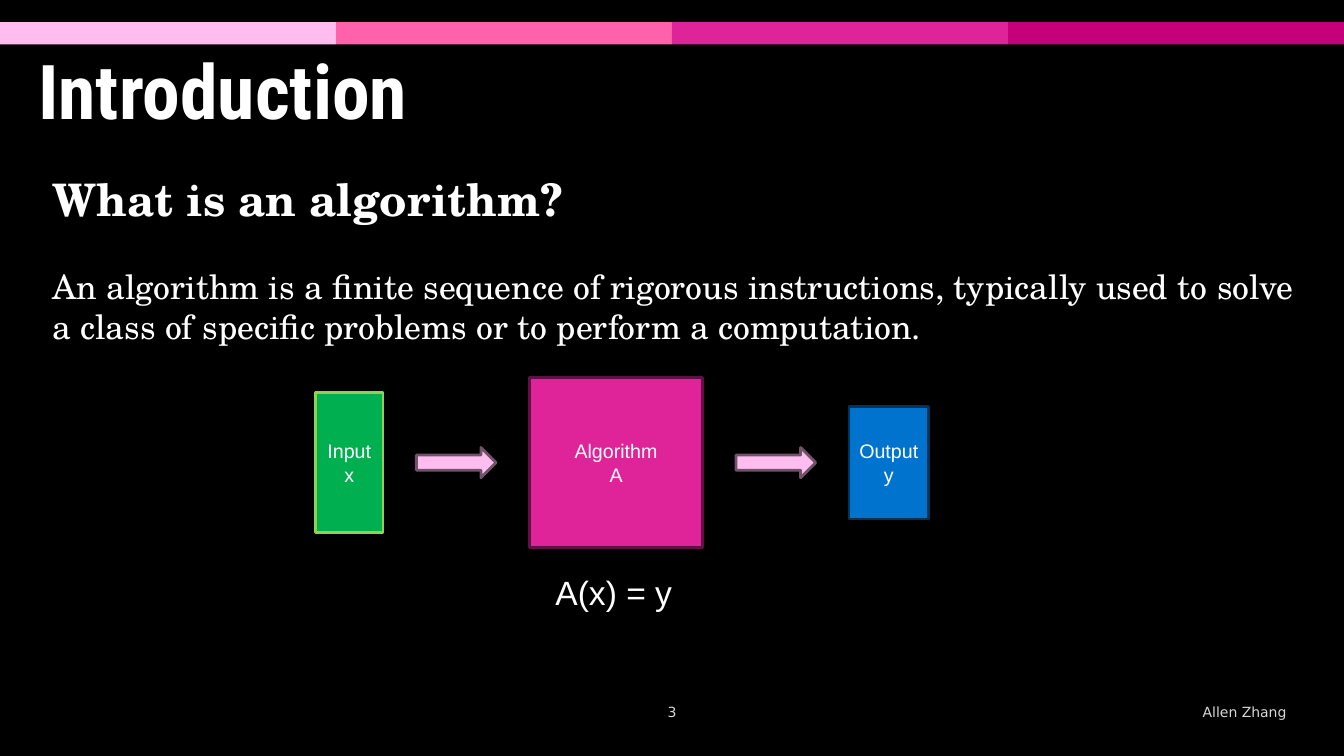
from dataclasses import dataclass

from lxml.etree import SubElement
from pptx import Presentation
from pptx.dml.color import RGBColor
from pptx.enum.shapes import MSO_SHAPE
from pptx.enum.text import MSO_ANCHOR, MSO_AUTO_SIZE, PP_ALIGN
from pptx.oxml.ns import qn
from pptx.util import Inches, Pt


@dataclass(frozen=True)
class Theme:
    background: str = "000000"
    text: str = "FFFFFF"
    footer: str = "D8D8D8"
    bands: tuple = ("FFBDEF", "FF62AA", "DE2498", "C50078")
    input_colors: tuple = ("00B050", "92D050")
    algorithm_colors: tuple = ("DE2498", "611043")
    output_colors: tuple = ("0073CE", "00325A")
    arrow_colors: tuple = ("FFBDEF", "705369")
    title_font: str = "Roboto Condensed"
    body_font: str = "TeX Gyre Schola"
    diagram_font: str = "Arial"
    footer_font: str = "DejaVu Sans"
    title_size: int = 54
    heading_size: int = 32
    body_size: int = 24
    label_size: int = 14
    footer_size: int = 10


THEME = Theme()
SLIDE_WIDTH = 13.33
DIAGRAM_LEFT = 3.13
DIAGRAM_MIDDLE = 4.59
DIAGRAM_GAP = 0.33


def style_paragraph(para, name, size, color=THEME.text, bold=False, align=PP_ALIGN.LEFT):
    para.alignment = align
    para.font.name = name
    para.font.size = Pt(size)
    para.font.bold = bold
    para.font.color.rgb = RGBColor.from_string(color)


def place(shape, left, top, width, height):
    shape.left, shape.top = Inches(left), Inches(top)
    shape.width, shape.height = Inches(width), Inches(height)


def add_block(slide, kind, left, top, width, height, fill, line=None):
    block = slide.shapes.add_shape(
        kind, Inches(left), Inches(top), Inches(width), Inches(height))
    block.shadow.inherit = False
    block.fill.solid()
    block.fill.fore_color.rgb = RGBColor.from_string(fill)
    if line:
        block.line.color.rgb = RGBColor.from_string(line)
        block.line.width = Pt(2)
    else:
        block.line.fill.background()
    return block


def add_bands(slide):
    width = SLIDE_WIDTH / len(THEME.bands)
    for index, color in enumerate(THEME.bands):
        add_block(slide, MSO_SHAPE.RECTANGLE, index * width, 0.22, width, 0.22, color)


def fill_title(slide, text):
    title = slide.shapes.title
    place(title, 0.28, 0.47, 12.65, 0.98)
    frame = title.text_frame
    frame.text = text
    frame.auto_size = MSO_AUTO_SIZE.NONE
    frame.vertical_anchor = MSO_ANCHOR.MIDDLE
    para = frame.paragraphs[0]
    para.line_spacing = 0.85
    style_paragraph(para, THEME.title_font, THEME.title_size, bold=True)


def fill_body(slide, heading, definition):
    body = slide.placeholders[1]
    place(body, 0.28, 1.65, 12.65, 1.99)
    frame = body.text_frame
    frame.text = f"{heading}\n{definition}"
    frame.auto_size = MSO_AUTO_SIZE.NONE
    frame.vertical_anchor = MSO_ANCHOR.TOP
    sizes = (THEME.heading_size, THEME.body_size)
    for para, size, space, bold in zip(frame.paragraphs, sizes, (0, 29), (True, False)):
        para.space_before = Pt(space)
        properties = para._p.get_or_add_pPr()
        properties.set("marL", str(Inches(0.14)))
        properties.set("indent", "0")
        SubElement(properties, qn("a:buNone"))
        style_paragraph(para, THEME.body_font, size, bold=bold)


def add_text(slide, text, left, top, width, height, name, size, color, align=PP_ALIGN.LEFT):
    box = slide.shapes.add_textbox(
        Inches(left), Inches(top), Inches(width), Inches(height))
    frame = box.text_frame
    frame.word_wrap = True
    frame.vertical_anchor = MSO_ANCHOR.MIDDLE
    frame.text = text
    style_paragraph(frame.paragraphs[0], name, size, color, align=align)


def add_diagram(slide):
    box, arrow = MSO_SHAPE.RECTANGLE, MSO_SHAPE.RIGHT_ARROW
    steps = (
        (box, 0.67, 1.39, THEME.input_colors, "Input\nx"),
        (arrow, 0.79, 0.3, THEME.arrow_colors, ""),
        (box, 1.72, 1.69, THEME.algorithm_colors, "Algorithm\nA"),
        (arrow, 0.79, 0.3, THEME.arrow_colors, ""),
        (box, 0.79, 1.12, THEME.output_colors, "Output\ny"),
    )
    left = DIAGRAM_LEFT
    for kind, width, height, colors, label in steps:
        top = DIAGRAM_MIDDLE - height / 2
        block = add_block(slide, kind, left, top, width, height, *colors)
        if label:
            frame = block.text_frame
            frame.margin_left = frame.margin_right = Inches(0.05)
            frame.vertical_anchor = MSO_ANCHOR.MIDDLE
            frame.text = label
            for para in frame.paragraphs:
                style_paragraph(para, THEME.diagram_font, THEME.label_size,
                                align=PP_ALIGN.CENTER)
        left += width + DIAGRAM_GAP


def main():
    deck = Presentation()
    deck.slide_width, deck.slide_height = Inches(SLIDE_WIDTH), Inches(7.5)
    slide = deck.slides.add_slide(deck.slide_layouts[1])
    slide.background.fill.solid()
    slide.background.fill.fore_color.rgb = RGBColor.from_string(THEME.background)

    add_bands(slide)
    fill_title(slide, "Introduction")
    fill_body(
        slide,
        "What is an algorithm?",
        "An algorithm is a finite sequence of rigorous instructions, typically used "
        "to solve a class of specific problems or to perform a computation.",
    )
    add_diagram(slide)
    add_text(slide, "A(x) = y", 5.41, 5.62, 1.39, 0.5,
             THEME.diagram_font, THEME.body_size, THEME.text)
    footer_style = (THEME.footer_font, THEME.footer_size, THEME.footer)
    add_text(slide, "3", 6.11, 6.93, 1.11, 0.27, *footer_style, PP_ALIGN.CENTER)
    add_text(slide, "Allen Zhang", 11.83, 6.93, 1.11, 0.27, *footer_style)
    deck.save("out.pptx")


if __name__ == "__main__":
    main()
